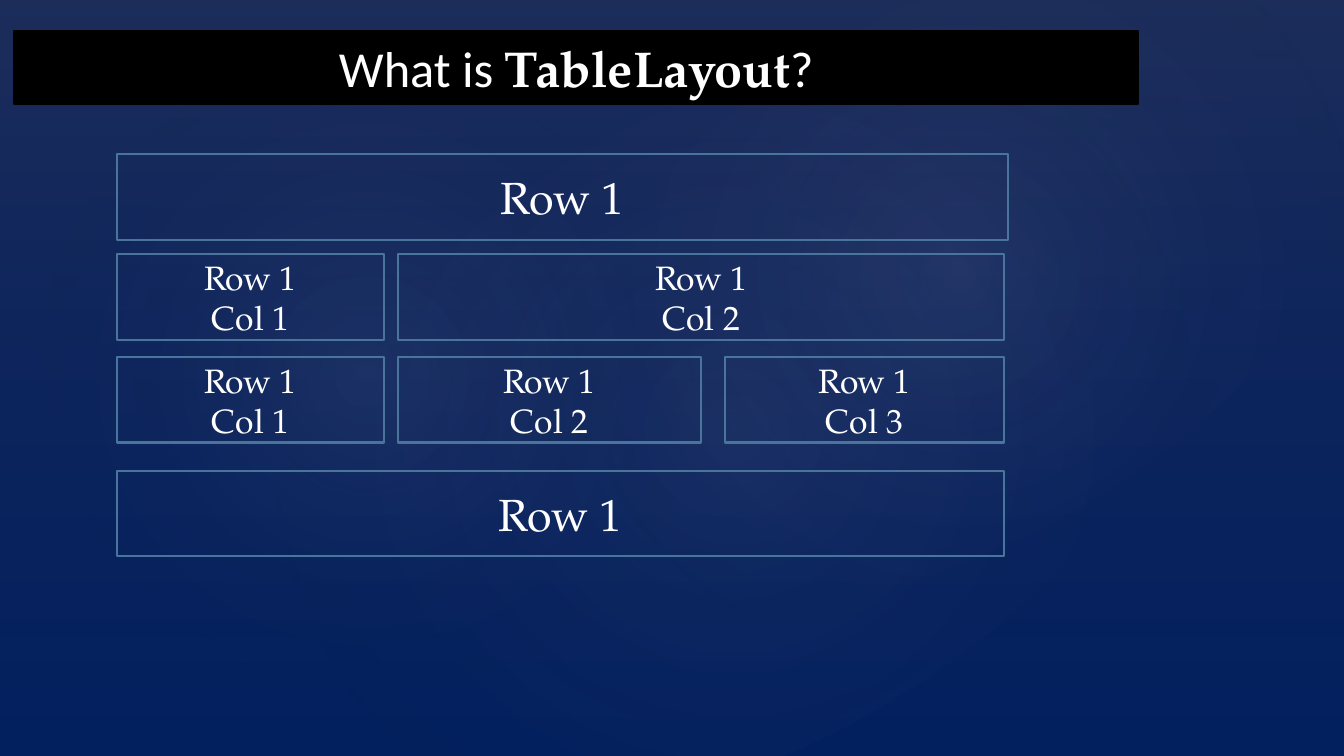
from pptx import Presentation
from pptx.dml.color import RGBColor
from pptx.enum.shapes import MSO_SHAPE
from pptx.enum.text import MSO_ANCHOR, MSO_AUTO_SIZE, PP_ALIGN
from pptx.oxml import parse_xml
from pptx.oxml.ns import nsdecls, qn
from pptx.util import Inches, Pt

RECTANGLE, ELLIPSE = MSO_SHAPE.RECTANGLE, MSO_SHAPE.OVAL
MIDDLE, CENTER, NO_AUTOFIT = MSO_ANCHOR.MIDDLE, PP_ALIGN.CENTER, MSO_AUTO_SIZE.NONE

WIDTH, HEIGHT = 13.33, 7.5
NAVY, BLACK, WHITE, OUTLINE = "002060", "000000", "FFFFFF", "49749B"
SERIF, SANS = "TeX Gyre Pagella", "Calibri"

LINEAR = '<a:lin ang="5400000" scaled="0"/>'
RADIAL = ('<a:path path="circle"><a:fillToRect l="50000" t="50000" '
          'r="50000" b="50000"/></a:path>')

# Gradient stops: position %, colour, opacity %
SHADE = [(0, "504652", 36), (100, "242852", 10)]
# Box, rotation, opacity % at the centre
GLOWS = [
    ((2, 1.14, 10.56, 6.24), 328.7, 7),
    ((0.61, 0.46, 6.06, 6.53), 294.3, 8),
    ((4.78, 0.13, 9.45, 5.2), 328.7, 8),
]

TITLE_BOX = (0.14, 0.31, 11.15, 0.72)
TITLE_RUNS = [("What is ", SANS, False), ("TableLayout", SERIF, True), ("?", SANS, False)]

CELL_HEIGHT = 0.85
COLUMN_LEFTS = (1.16, 3.95, 7.19)
RIGHT_EDGE = 9.96
# Top, text size, cells (first column, right edge, lines)
ROWS = [
    (1.53, 32, [(0, 10, ["Row 1"])]),
    (2.52, 24, [(0, 3.81, ["Row 1", "Col 1"]), (1, RIGHT_EDGE, ["Row 1", "Col 2"])]),
    (3.54, 24, [(0, 3.81, ["Row 1", "Col 1"]), (1, 6.95, ["Row 1", "Col 2"]),
                (2, RIGHT_EDGE, ["Row 1", "Col 3"])]),
    (4.67, 32, [(0, RIGHT_EDGE, ["Row 1"])]),
]


def color(hex_value):
    return RGBColor.from_string(hex_value)


def add_plain_shape(slide, kind, box):
    shape = slide.shapes.add_shape(kind, *map(Inches, box))
    shape.shadow.inherit = False
    shape.fill.background()
    shape.line.fill.background()
    return shape


def add_glow(slide, kind, box, stops, direction, rotation=0):
    """Add a borderless shape filled with a translucent gradient."""
    shape = add_plain_shape(slide, kind, box)
    shape.rotation = rotation
    stop_xml = "".join(
        f'<a:gs pos="{position * 1000}"><a:srgbClr val="{hex_value}">'
        f'<a:alpha val="{opacity * 1000}"/></a:srgbClr></a:gs>'
        for position, hex_value, opacity in stops)
    gradient = parse_xml(f'<a:gradFill {nsdecls("a")} rotWithShape="1">'
                         f'<a:gsLst>{stop_xml}</a:gsLst>{direction}</a:gradFill>')
    properties = shape.element.spPr
    properties.replace(properties.find(qn("a:noFill")), gradient)


def set_outline(shape, hex_value):
    shape.line.color.rgb = color(hex_value)
    shape.line.width = Pt(1.5)


def format_frame(frame):
    for name, value in {"word_wrap": True, "vertical_anchor": MIDDLE,
                        "auto_size": NO_AUTOFIT}.items():
        setattr(frame, name, value)


def add_run(paragraph, text, font_name, size, bold=False):
    paragraph.alignment = CENTER
    run = paragraph.add_run()
    run.text = text
    for name, value in {"name": font_name, "size": Pt(size), "bold": bold}.items():
        setattr(run.font, name, value)
    run.font.color.rgb = color(WHITE)


def format_title(title):
    # Bring the title in front of the background glows
    title.element.getparent().append(title.element)
    for name, value in zip(("left", "top", "width", "height"), TITLE_BOX):
        setattr(title, name, Inches(value))
    title.element.spPr.append(parse_xml(
        f'<a:prstGeom {nsdecls("a")} prst="roundRect"><a:avLst/></a:prstGeom>'))
    title.fill.solid()
    title.fill.fore_color.rgb = color(BLACK)
    set_outline(title, BLACK)
    format_frame(title.text_frame)
    for text, font_name, bold in TITLE_RUNS:
        add_run(title.text_frame.paragraphs[0], text, font_name, 36, bold)


def add_cell(slide, box, lines, size):
    cell = add_plain_shape(slide, RECTANGLE, box)
    set_outline(cell, OUTLINE)
    frame = cell.text_frame
    format_frame(frame)
    for index, line in enumerate(lines):
        paragraph = frame.add_paragraph() if index else frame.paragraphs[0]
        add_run(paragraph, line, SERIF, size)


def main():
    presentation = Presentation()
    presentation.slide_width, presentation.slide_height = Inches(WIDTH), Inches(HEIGHT)
    slide = presentation.slides.add_slide(presentation.slide_layouts[5])
    slide.background.fill.solid()
    slide.background.fill.fore_color.rgb = color(NAVY)

    add_glow(slide, RECTANGLE, (0, 0, WIDTH, HEIGHT), SHADE, LINEAR)
    for box, rotation, opacity in GLOWS:
        stops = [(0, "C4BCC6", opacity), (58, "242852", 0), (100, "242852", 0)]
        add_glow(slide, ELLIPSE, box, stops, RADIAL, rotation)

    format_title(slide.shapes.title)
    for top, size, cells in ROWS:
        for column, right, lines in cells:
            left = COLUMN_LEFTS[column]
            add_cell(slide, (left, top, right - left, CELL_HEIGHT), lines, size)

    presentation.save("out.pptx")


if __name__ == "__main__":
    main()
